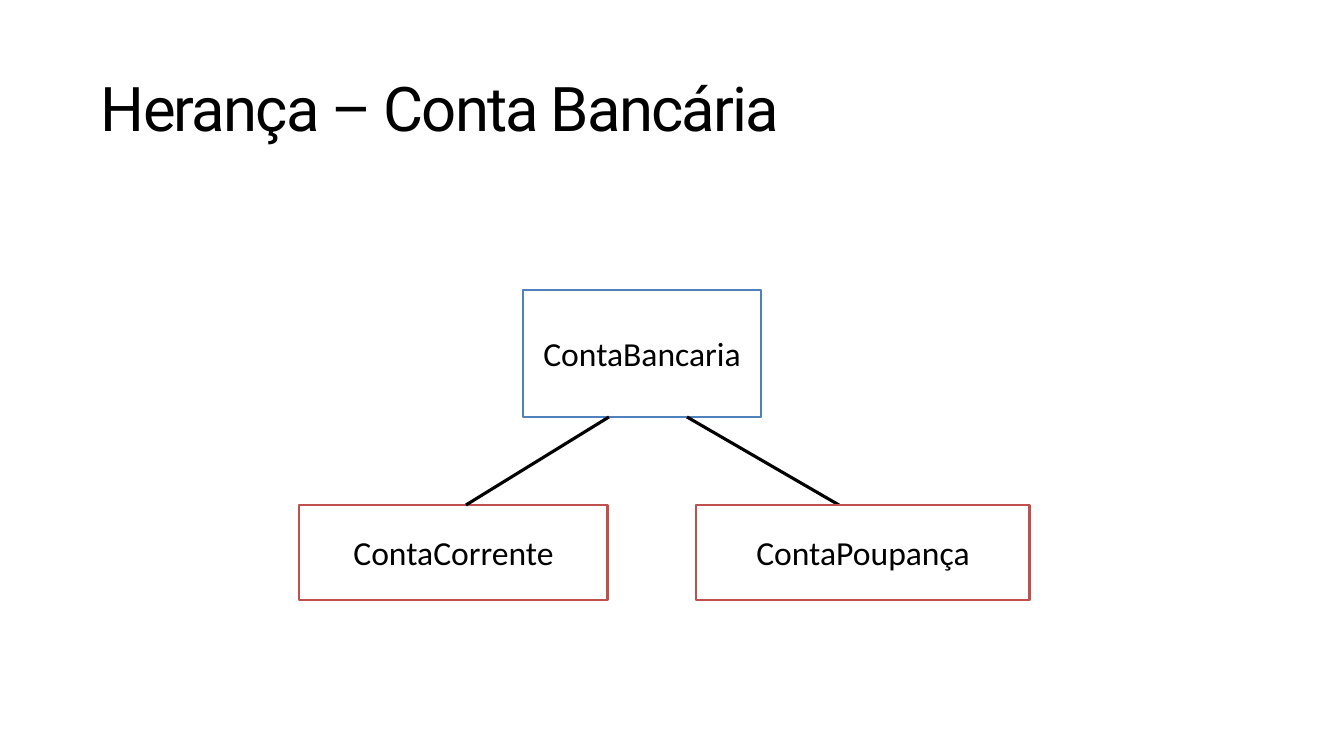
import pptx
import pptx.dml.color
import pptx.enum.shapes
import pptx.enum.text
import pptx.util
from lxml import etree

EMU_PER_PX = 914400 / 100.8
BLACK = pptx.dml.color.RGBColor(0x00, 0x00, 0x00)
WHITE = pptx.dml.color.RGBColor(0xFF, 0xFF, 0xFF)
BLUE = pptx.dml.color.RGBColor(0x4F, 0x81, 0xBD)
RED = pptx.dml.color.RGBColor(0xC0, 0x50, 0x4D)

PARENT_TOP, PARENT_HEIGHT = 290, 127
PARENT_BOTTOM = PARENT_TOP + PARENT_HEIGHT
CHILD_TOP, CHILD_HEIGHT = 505, 95


def px(n):
    return pptx.util.Emu(round(n * EMU_PER_PX))


def set_font(p, name, size):
    p.font.name = name
    p.font.size = pptx.util.Pt(size)
    p.font.color.rgb = BLACK


def add_title(s, text, x, y, w, h):
    sp = s.shapes.add_textbox(px(x), px(y), px(w), px(h))
    tf = sp.text_frame
    tf.word_wrap = True
    tf.margin_left = tf.margin_right = tf.margin_bottom = 0
    tf.margin_top = px(2)
    p = tf.paragraphs[0]
    r = p.add_run()
    r.text = text
    r.font._element.set("spc", "-130")
    set_font(p, "Roboto", 44)


def add_class_box(s, name, x, y, w, h, color):
    sp = s.shapes.add_shape(
        pptx.enum.shapes.MSO_SHAPE.RECTANGLE, px(x), px(y), px(w), px(h))
    sp.shadow.inherit = False
    sp.fill.solid()
    sp.fill.fore_color.rgb = WHITE
    sp.line.color.rgb = color
    sp.line.width = pptx.util.Pt(2)
    tf = sp.text_frame
    tf.word_wrap = False
    tf.vertical_anchor = pptx.enum.text.MSO_ANCHOR.MIDDLE
    p = tf.paragraphs[0]
    p.text = name
    p.alignment = pptx.enum.text.PP_ALIGN.CENTER
    set_font(p, "Calibri", 24)


def add_link(s, x1, x2):
    line = s.shapes.add_connector(
        pptx.enum.shapes.MSO_CONNECTOR.STRAIGHT,
        px(x1), px(PARENT_BOTTOM), px(x2), px(CHILD_TOP))
    line.line.color.rgb = BLACK
    line.line.width = pptx.util.Pt(2.25)
    etree.SubElement(line._element.spPr, pptx.oxml.ns.qn("a:effectLst"))


def main():
    prs = pptx.Presentation()
    prs.slide_width, prs.slide_height = px(1344), px(756)
    s = prs.slides.add_slide(prs.slide_layouts[6])
    add_title(s, "Herança – Conta Bancária", 101, 68, 882, 77)
    add_class_box(s, "ContaBancaria", 523, PARENT_TOP, 238, PARENT_HEIGHT, BLUE)
    add_class_box(s, "ContaCorrente", 299, CHILD_TOP, 309, CHILD_HEIGHT, RED)
    add_link(s, 609, 466)
    add_link(s, 687, 839)
    add_class_box(s, "ContaPoupança", 696, CHILD_TOP, 334, CHILD_HEIGHT, RED)
    prs.save("out.pptx")


if __name__ == "__main__":
    main()
